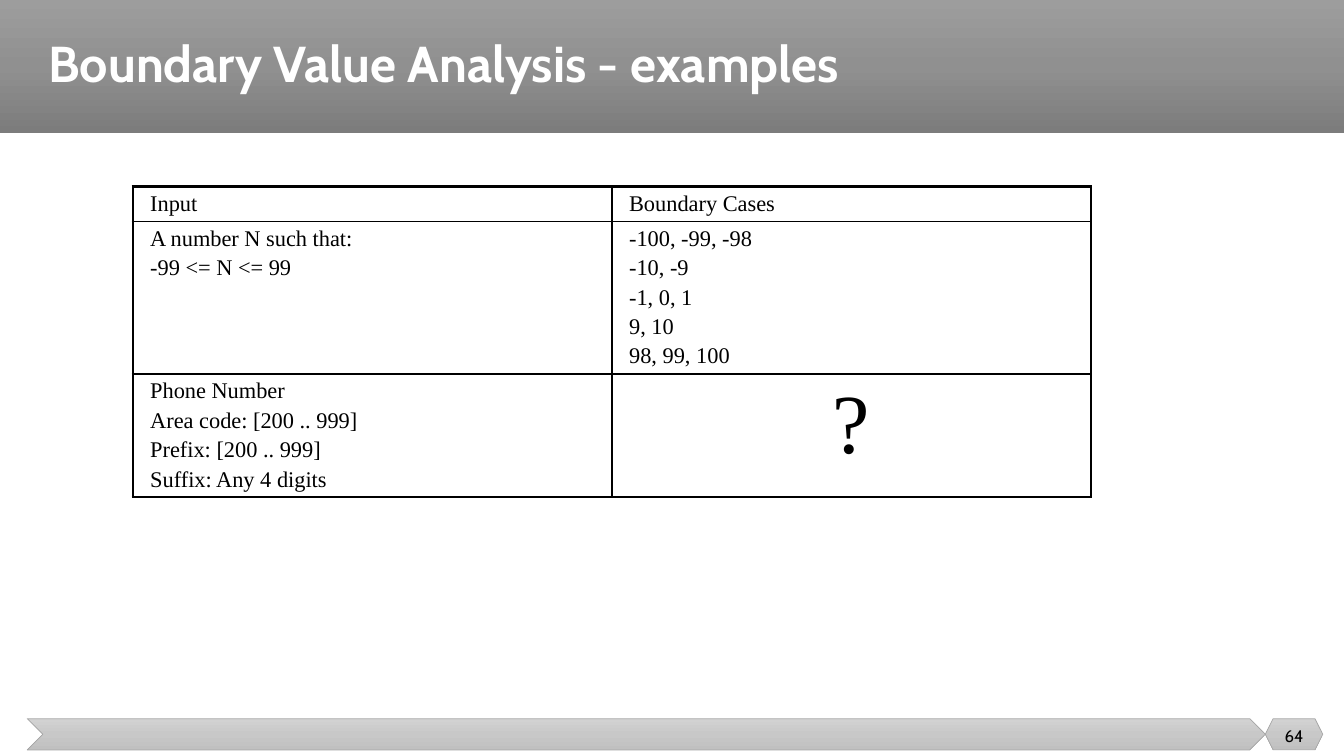
from copy import deepcopy

from lxml.etree import SubElement
from pptx import Presentation
from pptx.dml.color import RGBColor
from pptx.enum.shapes import MSO_SHAPE
from pptx.enum.text import MSO_ANCHOR, PP_ALIGN
from pptx.oxml import parse_xml
from pptx.oxml.ns import nsdecls, qn
from pptx.util import Inches, Pt

TITLE = "Boundary Value Analysis - examples"
PAGE_NUMBER = "64"
CASES = [
    (["Input"], ["Boundary Cases"]),
    (["A number N such that:", "-99 <= N <= 99"],
     ["-100, -99, -98", "-10, -9", "-1, 0, 1", "9, 10", "98, 99, 100"]),
    (["Phone Number", "Area code: [200 .. 999]", "Prefix: [200 .. 999]",
      "Suffix: Any 4 digits"], ["?"]),
]
ROW_HEIGHTS = [0.33, 1.12, 1.12]
COLUMN_WIDTH = 4.75
BANNER_STOPS = ["9D9D9D", "909090", "7C7C7C"]
FOOTER_STOPS = ["D2D2D2", "C8C8C8", "C0C0C0"]
FOOTER_LINE = "A5A5A5"
THIN, THICK = 1, 2.25


def color(value):
    return RGBColor.from_string(value)


def write(frame, lines, size, font, ink="000000", bold=False,
          align=PP_ALIGN.LEFT, spacing=None, before=None):
    frame.word_wrap = True
    for index, line in enumerate(lines):
        paragraph = frame.paragraphs[0] if index == 0 else frame.add_paragraph()
        paragraph.alignment = align
        if spacing:
            paragraph.line_spacing = spacing
        if before:
            space = SubElement(paragraph._p.get_or_add_pPr(), qn("a:spcBef"))
            SubElement(space, qn("a:spcPct")).set("val", str(before * 1000))
        run = paragraph.add_run()
        run.text = line
        run.font.size = Pt(size)
        run.font.name = font
        run.font.bold = bold
        run.font.color.rgb = color(ink)


def add_band(slide, preset, box, stops, outline=None):
    band = slide.shapes.add_shape(preset, *map(Inches, box))
    band.shadow.inherit = False
    band.fill.gradient()
    band.fill.gradient_angle = 270
    first = band._element.spPr.find(".//" + qn("a:gs"))
    first.addnext(deepcopy(first))
    for index, (stop, value) in enumerate(zip(band.fill.gradient_stops, stops)):
        stop.position = index / (len(stops) - 1)
        stop.color.rgb = color(value)
    if outline:
        band.line.color.rgb = color(outline)
        band.line.width = Pt(0.5)
    else:
        band.line.fill.background()
    return band


def set_borders(cell, widths):
    properties = cell._tc.get_or_add_tcPr()
    for index, (side, width) in enumerate(zip("LRTB", widths)):
        properties.insert(index, parse_xml(
            f'<a:ln{side} {nsdecls("a")} w="{Pt(width)}"><a:solidFill>'
            f'<a:srgbClr val="000000"/></a:solidFill></a:ln{side}>'))


def add_cases(slide):
    rows, columns = len(CASES), len(CASES[0])
    table = slide.shapes.add_table(
        rows, columns, Inches(1.32), Inches(1.85),
        Inches(COLUMN_WIDTH * columns), Inches(sum(ROW_HEIGHTS))).table
    table.first_row = table.horz_banding = False
    for column in table.columns:
        column.width = Inches(COLUMN_WIDTH)
    for r, entries in enumerate(CASES):
        table.rows[r].height = Inches(ROW_HEIGHTS[r])
        for c, lines in enumerate(entries):
            cell = table.cell(r, c)
            cell.fill.background()
            cell.margin_left = cell.margin_right = Inches(0.17)
            cell.margin_top = cell.margin_bottom = Inches(0.05)
            outer = (c == 0, c == columns - 1, r == 0, r == rows - 1)
            set_borders(cell, [THICK if edge else THIN for edge in outer])
            if lines == ["?"]:
                write(cell.text_frame, lines, 60, "Times New Roman",
                      align=PP_ALIGN.CENTER)
            else:
                write(cell.text_frame, lines, 16, "Times New Roman", before=20)


def main():
    deck = Presentation()
    deck.slide_width, deck.slide_height = Inches(13.33), Inches(7.5)
    slide = deck.slides.add_slide(deck.slide_layouts[5])

    banner = add_band(slide, MSO_SHAPE.RECTANGLE, (0, 0, 13.33, 1.32), BANNER_STOPS)
    add_band(slide, MSO_SHAPE.CHEVRON, (0.27, 7.13, 12.28, 0.31),
             FOOTER_STOPS, FOOTER_LINE)
    add_band(slide, MSO_SHAPE.HEXAGON, (12.55, 7.13, 0.57, 0.31),
             FOOTER_STOPS, FOOTER_LINE)

    title = slide.shapes.title
    title.left, title.top, title.width, title.height = map(
        Inches, (0.38, 0, 12.74, 1.32))
    title.text_frame.vertical_anchor = MSO_ANCHOR.MIDDLE
    write(title.text_frame, [TITLE], 36, "Cabin", ink="FFFFFF", bold=True, spacing=0.9)
    title._element.addprevious(banner._element)

    add_cases(slide)

    number = slide.shapes.add_textbox(*map(Inches, (12.55, 7.1, 0.57, 0.4)))
    number.text_frame.vertical_anchor = MSO_ANCHOR.MIDDLE
    write(number.text_frame, [PAGE_NUMBER], 12, "Cabin", align=PP_ALIGN.CENTER)

    deck.save("out.pptx")


if __name__ == "__main__":
    main()
